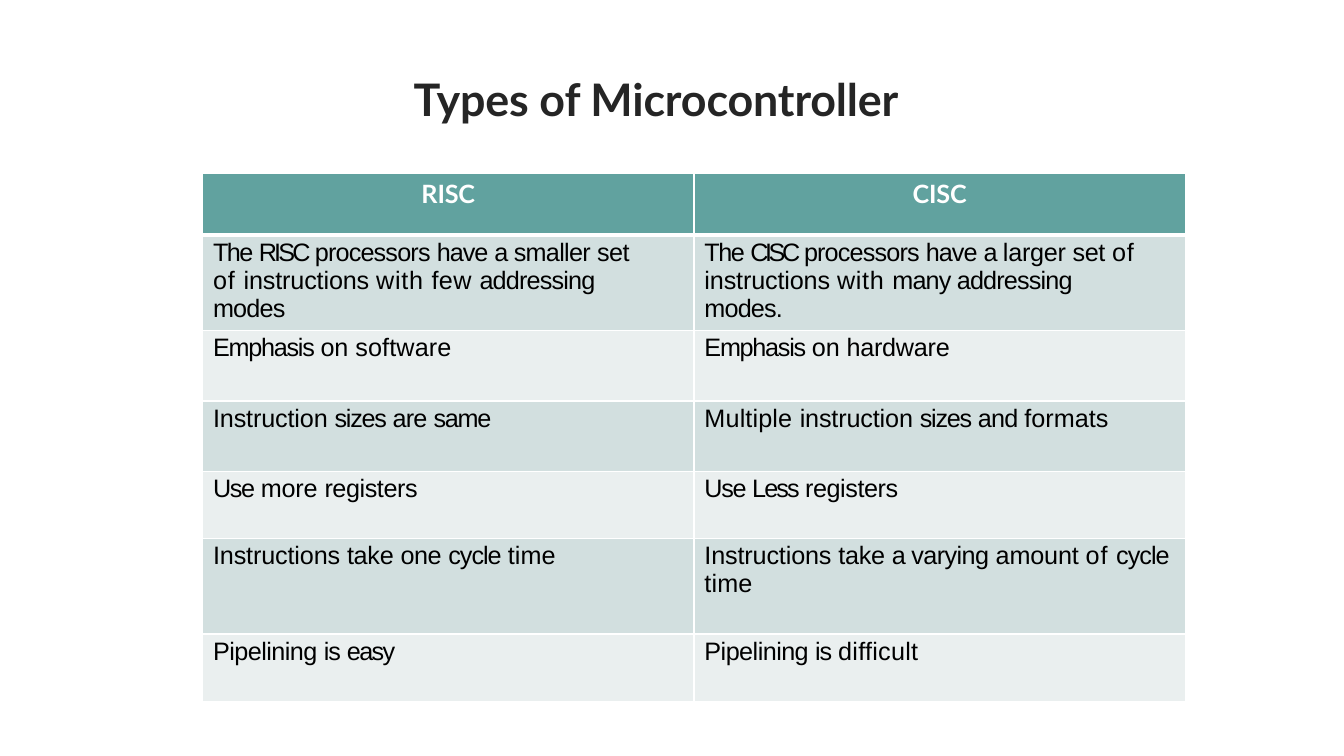
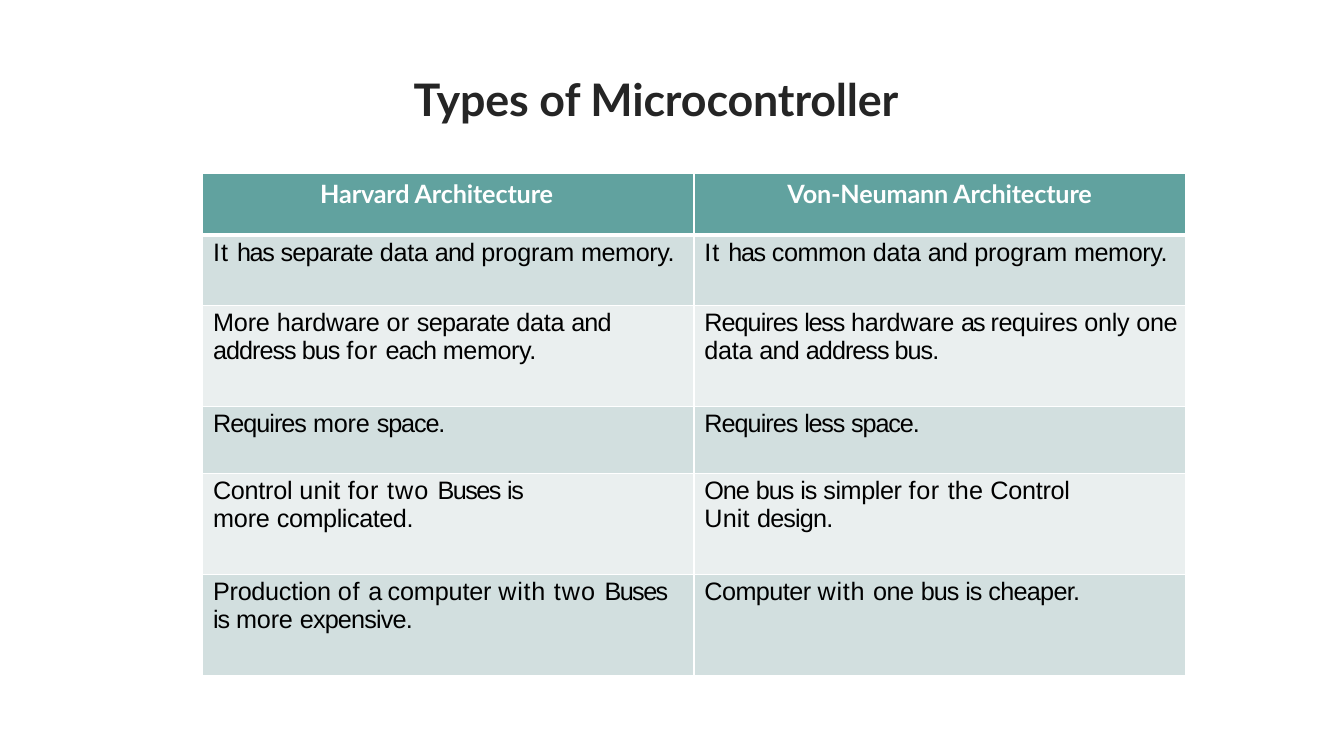
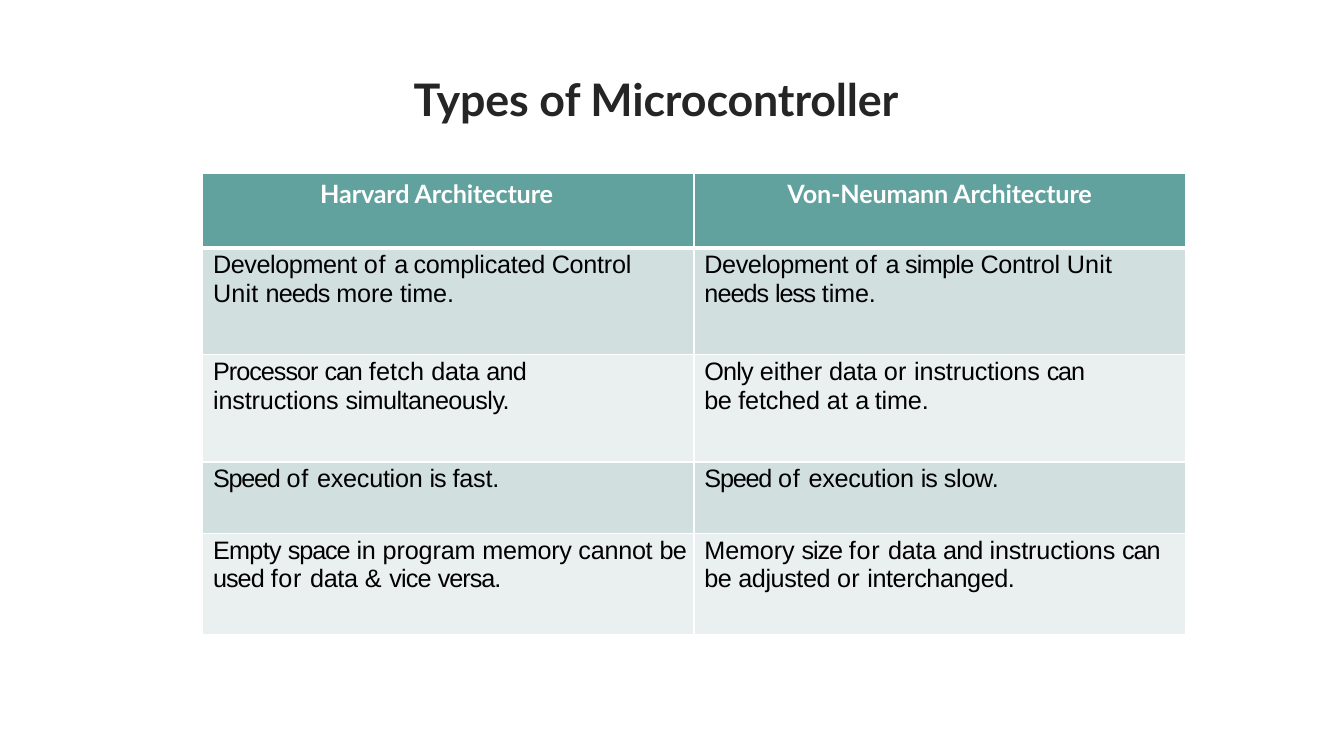
from dataclasses import dataclass

from lxml.etree import SubElement
from pptx import Presentation
from pptx.dml.color import RGBColor
from pptx.enum.text import MSO_ANCHOR, MSO_AUTO_SIZE, PP_ALIGN
from pptx.oxml.ns import qn
from pptx.util import Emu, Pt


@dataclass(frozen=True)
class Theme:
    title_font: str = "Lato"
    body_font: str = "Arial"
    title_size: int = 32
    table_size: int = 18
    title_color: str = "252525"
    header_color: str = "FFFFFF"
    body_color: str = "000000"
    header_fill: str = "61A29F"
    band_fills: tuple = ("D2DFDF", "EAEFEF")
    border_color: str = "FFFFFF"
    thin_border: int = 1
    thick_border: int = 3


THEME = Theme()
EMU_PER_PX = 9525
TITLE = "Types of Microcontroller"
TABLE_LEFT, TABLE_TOP, COLUMN_WIDTH = 193, 165, 468
CELL_INDENT = 10

# Letter spacing in points and the words that take it; other words use the default
DEFAULT_TRACKING = -0.1
WORDS_BY_TRACKING = {
    -2.4: "CISC",
    -2.0: "RISC",
    -1.4: "as",
    -1.3: "Less",
    -1.2: "a",
    -1.1: "The easy Buses",
    -1.0: "Use has",
    -0.9: "Emphasis sizes same less Speed",
    -0.8: "is One each space space. size can",
    -0.7: "have cycle address bus bus. Requires needs Processor used versa.",
    -0.6: "processors addressing modes modes. many are and design. expensive. Only vice",
    -0.5: "smaller separate cheaper. simple Empty",
    -0.4: "Pipelining varying requires Computer simultaneously. be",
    -0.3: "set registers one common memory. complicated. simpler Development adjusted "
          "interchanged.",
    -0.2: "larger hardware take data only Control Production complicated execution slow. "
          "in memory cannot",
    0.0: "formats",
    0.1: "software Multiple time unit Unit the fetch at",
    0.2: "difficult or &",
    0.3: "few",
    0.5: "with for",
    0.6: "of",
    0.7: "It",
    0.8: "two",
}
TRACKING = {word: points for points, words in WORDS_BY_TRACKING.items()
            for word in words.split()}

# Each table: headers with an optional left indent, row heights, body rows.
# In cell text, "\n" starts a paragraph and "\v" breaks a line.
ARCHITECTURES = (("Harvard Architecture", 112), ("Von-Neumann Architecture", None))
TABLES = [
    (
        (("RISC", None), ("CISC", None)),
        (59, 91, 67, 67, 64, 91, 64),
        [
            ("The RISC processors have a smaller set\vof instructions with few addressing\vmodes",
             "The CISC processors have a larger set of\vinstructions with many addressing\vmodes."),
            ("Emphasis on software", "Emphasis on hardware"),
            ("Instruction sizes are same", "Multiple instruction sizes and formats"),
            ("Use more registers", "Use Less registers"),
            ("Instructions take one cycle time",
             "Instructions take a varying amount of cycle\ntime"),
            ("Pipelining is easy", "Pipelining is difficult"),
        ],
    ),
    (
        ARCHITECTURES,
        (59, 67, 96, 64, 96, 96),
        [
            ("It has separate data and program memory.",
             "It has common data and program memory."),
            ("More hardware or separate data and\naddress bus for each memory.",
             "Requires less hardware as requires only one\ndata and address bus."),
            ("Requires more space.", "Requires less space."),
            ("Control unit for two Buses is\vmore complicated.",
             "One bus is simpler for the Control\vUnit design."),
            ("Production of a computer with two Buses\vis more expensive.",
             "Computer with one bus is cheaper."),
        ],
    ),
    (
        ARCHITECTURES,
        (71, 102, 102, 68, 96),
        [
            ("Development of a complicated Control\vUnit needs more time.",
             "Development of a simple Control Unit\vneeds less time."),
            ("Processor can fetch data and\vinstructions simultaneously.",
             "Only either data or instructions can\vbe fetched at a time."),
            ("Speed of execution is fast.", "Speed of execution is slow."),
            ("Empty space in program memory cannot be\nused for data & vice versa.",
             "Memory size for data and instructions can\nbe adjusted or interchanged."),
        ],
    ),
]


def px(length):
    return Emu(length * EMU_PER_PX)


def add_span(para, text, font, size, color, bold=False, tracking=DEFAULT_TRACKING):
    span = para.add_run()
    span.text = text
    span.font.name = font
    span.font.size = Pt(size)
    span.font.bold = bold
    span.font.color.rgb = RGBColor.from_string(color)
    span.font._element.set("spc", str(round(tracking * 100)))


def set_title(page):
    title = page.shapes.title
    title.left, title.top, title.width, title.height = map(px, (393, 67, 495, 54))
    box = title.text_frame
    box.margin_left = box.margin_top = px(1)
    box.margin_right = box.margin_bottom = 0
    box.word_wrap = True
    box.auto_size = MSO_AUTO_SIZE.NONE
    box.vertical_anchor = MSO_ANCHOR.TOP
    para = box.paragraphs[0]
    para.alignment = PP_ALIGN.LEFT
    add_span(para, TITLE, THEME.title_font, THEME.title_size, THEME.title_color, bold=True)


def format_cell(cell, fill, indent, top, top_border, bottom_border):
    cell.margin_left, cell.margin_top = px(indent), px(top)
    cell.margin_right = cell.margin_bottom = 0
    cell.vertical_anchor = MSO_ANCHOR.TOP
    # Borders come before the fill in the cell properties
    properties = cell._tc.get_or_add_tcPr()
    borders = {"lnL": THEME.thin_border, "lnR": THEME.thin_border,
               "lnT": top_border, "lnB": bottom_border}
    for side, points in borders.items():
        line = SubElement(properties, qn(f"a:{side}"), w=str(Pt(points)))
        SubElement(SubElement(line, qn("a:solidFill")), qn("a:srgbClr"),
                   val=THEME.border_color)
    cell.fill.solid()
    cell.fill.fore_color.rgb = RGBColor.from_string(fill)


def fill_header(cell, text, indent):
    format_cell(cell, THEME.header_fill, indent or 0, 5,
                THEME.thin_border, THEME.thick_border)
    para = cell.text_frame.paragraphs[0]
    para.alignment = PP_ALIGN.CENTER if indent is None else PP_ALIGN.LEFT
    add_span(para, text, THEME.title_font, THEME.table_size, THEME.header_color, bold=True)


def fill_body(cell, text, row_index):
    top_border = THEME.thick_border if row_index == 0 else THEME.thin_border
    format_cell(cell, THEME.band_fills[row_index % 2], CELL_INDENT, 3,
                top_border, THEME.thin_border)
    box = cell.text_frame
    for para_index, para_text in enumerate(text.split("\n")):
        para = box.add_paragraph() if para_index else box.paragraphs[0]
        for line_index, line in enumerate(para_text.split("\v")):
            if line_index:
                para.add_line_break()
            words = line.split()
            for position, word in enumerate(words, 1):
                gap = " " if position < len(words) else ""
                add_span(para, word + gap, THEME.body_font, THEME.table_size,
                         THEME.body_color, tracking=TRACKING.get(word, DEFAULT_TRACKING))


def add_comparison(page, headers, heights, rows):
    frame = page.shapes.add_table(
        len(heights), len(headers), px(TABLE_LEFT), px(TABLE_TOP),
        px(COLUMN_WIDTH * len(headers)), px(sum(heights)))
    table = frame.table
    table.horz_banding = False
    for column in table.columns:
        column.width = px(COLUMN_WIDTH)
    for row, height in zip(table.rows, heights):
        row.height = px(height)
    for column_index, (text, indent) in enumerate(headers):
        fill_header(table.cell(0, column_index), text, indent)
    for row_index, texts in enumerate(rows):
        for column_index, text in enumerate(texts):
            fill_body(table.cell(row_index + 1, column_index), text, row_index)


def main():
    deck = Presentation()
    deck.slide_width, deck.slide_height = px(1280), px(720)
    title_only = deck.slide_layouts[5]
    for headers, heights, rows in TABLES:
        page = deck.slides.add_slide(title_only)
        set_title(page)
        add_comparison(page, headers, heights, rows)
    deck.save("out.pptx")


if __name__ == "__main__":
    main()
